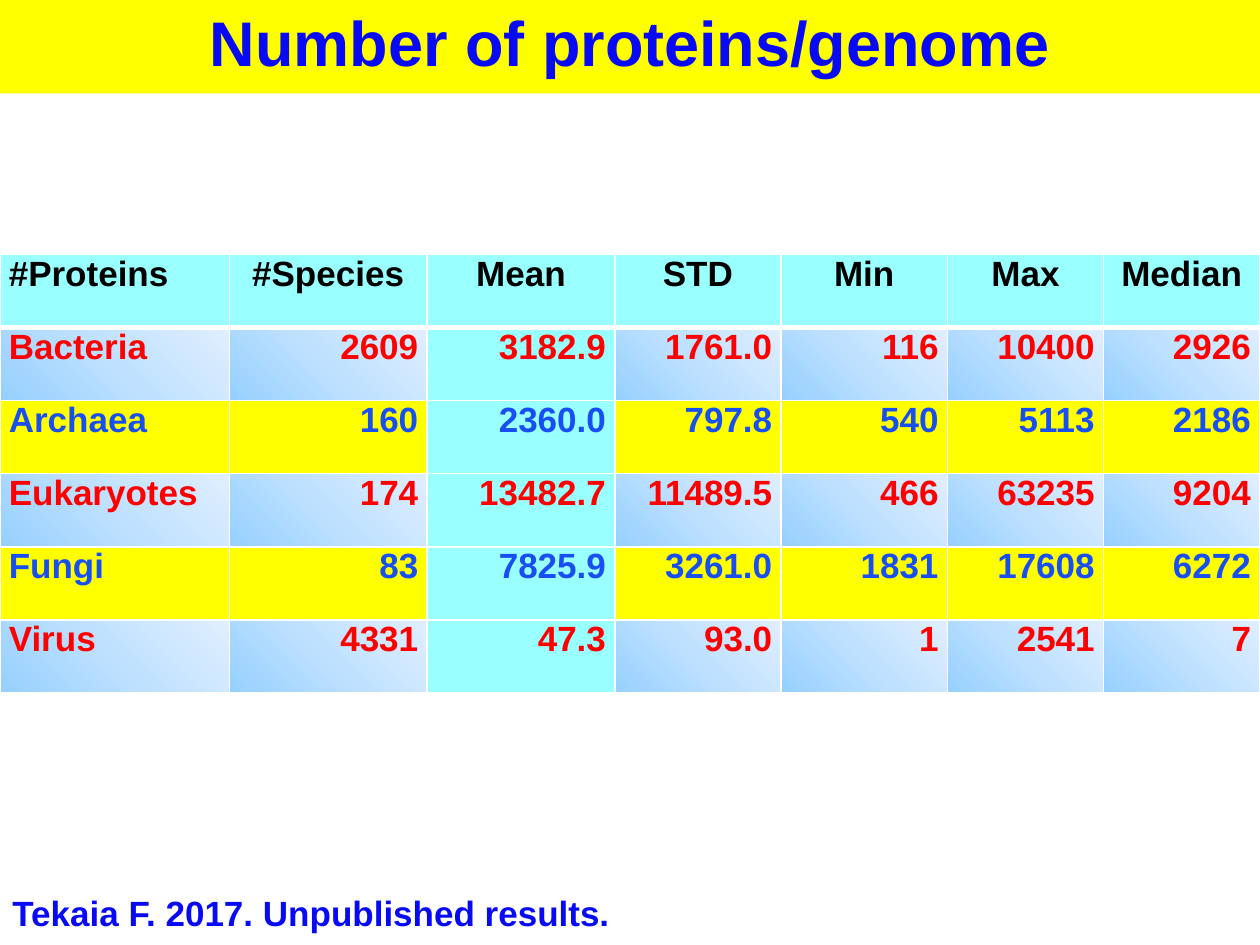
from pptx import Presentation
from pptx.dml.color import RGBColor
from pptx.enum.text import MSO_ANCHOR, MSO_AUTO_SIZE, PP_ALIGN
from pptx.oxml import parse_xml
from pptx.oxml.ns import nsdecls
from pptx.util import Inches, Pt

LEFT, CENTER, RIGHT = PP_ALIGN.LEFT, PP_ALIGN.CENTER, PP_ALIGN.RIGHT
JUSTIFY = PP_ALIGN.JUSTIFY
MIDDLE, TOP = MSO_ANCHOR.MIDDLE, MSO_ANCHOR.TOP
GROW = MSO_AUTO_SIZE.SHAPE_TO_FIT_TEXT

TITLE = "Number of proteins/genome"
CITATION = "Tekaia F. 2017. Unpublished results."
HEADINGS = ["#Proteins", "#Species", "Mean", "STD", "Min", "Max", "Median"]
GENOMES = [
    ["Bacteria", "2609", "3182.9", "1761.0", "116", "10400", "2926"],
    ["Archaea", "160", "2360.0", "797.8", "540", "5113", "2186"],
    ["Eukaryotes", "174", "13482.7", "11489.5", "466", "63235", "9204"],
    ["Fungi", "83", "7825.9", "3261.0", "1831", "17608", "6272"],
    ["Virus", "4331", "47.3", "93.0", "1", "2541", "7"],
]
COLUMN_WIDTHS = [1.82, 1.57, 1.49, 1.32, 1.32, 1.24, 1.24]
ROW_HEIGHT = 0.58
MEAN_COLUMN = HEADINGS.index("Mean")

THEME = {
    "font": "Arial",
    "title_size": 36,
    "body_size": 20,
    "title": "070AF2",
    "heading": "000000",
    "odd_text": "FF0000",
    "even_text": "184FF2",
    "band": "FFFF00",
    "highlight": "99FFFF",
    "border": "FFFFFF",
    "gradient": [(0, "96D0FF"), (50, "BFE1FF"), (100, "E0EFFF")],
}


def write(frame, text, size, color, align):
    paragraph = frame.paragraphs[0]
    paragraph.alignment = align
    run = paragraph.add_run()
    run.text = text
    run.font.name = THEME["font"]
    run.font.size = Pt(size)
    run.font.bold = True
    run.font.color.rgb = RGBColor.from_string(color)


def add_borders(cell, bottom, top):
    widths = {"L": 1, "R": 1, "T": top, "B": bottom}
    for side, width in widths.items():
        cell._tc.get_or_add_tcPr().append(parse_xml(
            f'<a:ln{side} {nsdecls("a")} w="{Pt(width)}"><a:solidFill>'
            f'<a:srgbClr val="{THEME["border"]}"/></a:solidFill></a:ln{side}>'))


def fill_gradient(cell):
    stops = "".join(
        f'<a:gs pos="{position * 1000}"><a:srgbClr val="{color}"/></a:gs>'
        for position, color in THEME["gradient"])
    cell._tc.get_or_add_tcPr().append(parse_xml(
        f'<a:gradFill {nsdecls("a")}><a:gsLst>{stops}</a:gsLst><a:path path="circle">'
        '<a:fillToRect l="0" t="100000" r="100000" b="0"/></a:path></a:gradFill>'))


def fill_solid(shape, color):
    shape.fill.solid()
    shape.fill.fore_color.rgb = RGBColor.from_string(color)


def format_cell(cell, text, row, column):
    cell.margin_left = cell.margin_right = Inches(0.07)
    cell.margin_top = cell.margin_bottom = 0
    cell.vertical_anchor = TOP
    add_borders(cell, bottom=3 if row == 0 else 1, top=3 if row == 1 else 1)

    if row == 0 or column == MEAN_COLUMN:
        fill_solid(cell, THEME["highlight"])
    elif row % 2 == 0:
        fill_solid(cell, THEME["band"])
    else:
        fill_gradient(cell)

    if row == 0:
        color = THEME["heading"]
    else:
        color = THEME["odd_text"] if row % 2 else THEME["even_text"]
    if column == 0:
        align = JUSTIFY
    else:
        align = CENTER if row == 0 else RIGHT
    write(cell.text_frame, text, THEME["body_size"], color, align)


def add_protein_table(slide):
    rows = [HEADINGS] + GENOMES
    table = slide.shapes.add_table(
        len(rows), len(HEADINGS), 0, Inches(2.02),
        Inches(sum(COLUMN_WIDTHS)), Inches(ROW_HEIGHT * len(rows))).table
    for column, width in zip(table.columns, COLUMN_WIDTHS):
        column.width = Inches(width)
    for r, values in enumerate(rows):
        table.rows[r].height = Inches(ROW_HEIGHT)
        for c, text in enumerate(values):
            format_cell(table.cell(r, c), text, r, c)


def main():
    deck = Presentation()
    deck.slide_width, deck.slide_height = Inches(10), Inches(7.5)
    slide = deck.slides.add_slide(deck.slide_layouts[5])

    title = slide.shapes.title
    title.left, title.top = 0, Inches(-0.03)
    title.width, title.height = Inches(10), Inches(0.71)
    fill_solid(title, THEME["band"])
    title.text_frame.auto_size = GROW
    title.text_frame.vertical_anchor = MIDDLE
    write(title.text_frame, TITLE, THEME["title_size"], THEME["title"], CENTER)

    add_protein_table(slide)

    citation = slide.shapes.add_textbox(0, Inches(7.03), Inches(6.42), Inches(0.44))
    citation.text_frame.word_wrap = True
    citation.text_frame.auto_size = GROW
    write(citation.text_frame, CITATION, THEME["body_size"], THEME["title"], LEFT)

    deck.save("out.pptx")


if __name__ == "__main__":
    main()
